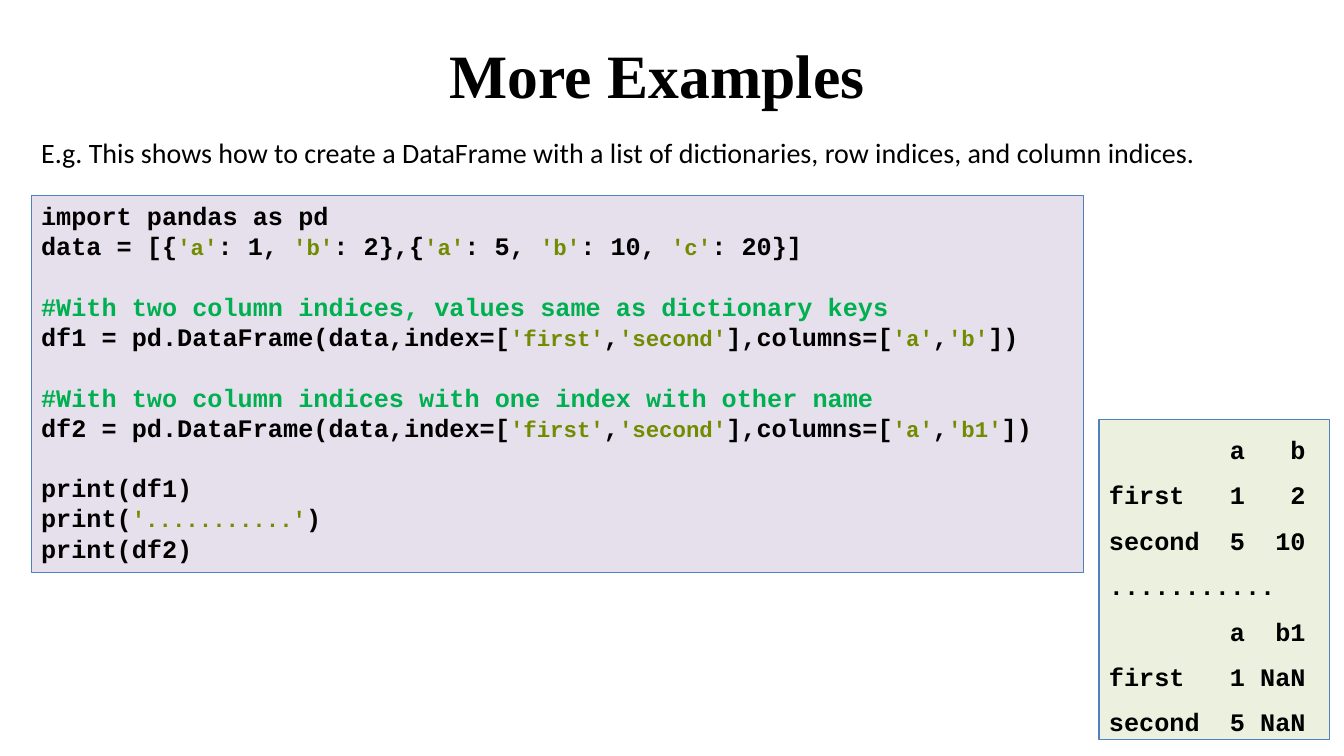
from dataclasses import dataclass

from pptx import Presentation
from pptx.dml.color import RGBColor
from pptx.enum.shapes import MSO_SHAPE as Shape
from pptx.enum.text import MSO_ANCHOR as Anchor, MSO_AUTO_SIZE as AutoSize, PP_ALIGN as Align
from pptx.util import Inches, Pt

COLORS = {
    "text": "000000",
    "string": "718C00",
    "comment": "00B050",
    "border": "4F81BD",
    "code_fill": "E6E0EC",
    "output_fill": "EBF1DE",
}
CODE_FONT = "Courier New"
CODE_SIZE, STRING_SIZE = 18, 16
BLOCK_GAP = 21.57  # one code line, in points

CODE_BLOCKS = [
    [
        "import pandas as pd",
        "data = [{'a': 1, 'b': 2},{'a': 5, 'b': 10, 'c': 20}]",
    ],
    [
        "#With two column indices, values same as dictionary keys",
        "df1 = pd.DataFrame(data,index=['first','second'],columns=['a','b'])",
    ],
    [
        "#With two column indices with one index with other name",
        "df2 = pd.DataFrame(data,index=['first','second'],columns=['a','b1'])",
    ],
    [
        "print(df1)",
        "print('...........')",
        "print(df2)",
    ],
]
OUTPUT_BLOCKS = [
    [
        "        a   b",
        "first   1   2",
        "second  5  10",
        "...........",
        "        a  b1",
        "first   1 NaN",
        "second  5 NaN",
    ]
]


@dataclass(frozen=True)
class Panel:
    box: tuple[float, float, float, float]
    fill: str
    blocks: list[list[str]]
    insets: tuple[float, float, float, float]
    line_spacing: float


PANELS = [
    Panel((0.31, 1.94, 10.44, 3.74), "code_fill", CODE_BLOCKS, (0.1, 0.05, 0.1, 0.05), 1.0),
    Panel((10.9, 4.16, 2.29, 3.18), "output_fill", OUTPUT_BLOCKS, (0.1, 0, 0, 0), 1.5),
]


def rgb(name: str) -> RGBColor:
    return RGBColor.from_string(COLORS[name])


def add_run(paragraph, text: str, font_name: str, size: float,
            color: str = "text", bold: bool = False) -> None:
    run = paragraph.add_run()
    run.text = text
    run.font.name = font_name
    run.font.size = Pt(size)
    run.font.bold = bold
    run.font.color.rgb = rgb(color)


def add_code_line(paragraph, line: str) -> None:
    """Write one line of code, colouring comments and quoted strings."""
    if line.startswith("#"):
        add_run(paragraph, line, CODE_FONT, CODE_SIZE, "comment", True)
        return
    for position, piece in enumerate(line.split("'")):
        if position % 2:
            add_run(paragraph, f"'{piece}'", CODE_FONT, STRING_SIZE, "string", True)
        elif piece:
            add_run(paragraph, piece, CODE_FONT, CODE_SIZE, "text", True)


def add_panel(slide, panel: Panel) -> None:
    rectangle = slide.shapes.add_shape(Shape.RECTANGLE, *map(Inches, panel.box))
    rectangle.shadow.inherit = False
    rectangle.fill.solid()
    rectangle.fill.fore_color.rgb = rgb(panel.fill)
    rectangle.line.color.rgb = rgb("border")
    rectangle.line.width = Pt(0.75)

    frame = rectangle.text_frame
    frame.word_wrap = True
    frame.auto_size = AutoSize.SHAPE_TO_FIT_TEXT
    frame.vertical_anchor = Anchor.TOP
    (frame.margin_left, frame.margin_top,
     frame.margin_right, frame.margin_bottom) = map(Inches, panel.insets)

    for block_number, block in enumerate(panel.blocks):
        for line_number, line in enumerate(block):
            is_first = block_number == line_number == 0
            paragraph = frame.paragraphs[0] if is_first else frame.add_paragraph()
            paragraph.alignment = Align.LEFT
            paragraph.line_spacing = panel.line_spacing
            if block_number and not line_number:
                paragraph.space_before = Pt(BLOCK_GAP)
            add_code_line(paragraph, line)


def add_heading(slide) -> None:
    heading = slide.shapes.title
    heading.left, heading.top, heading.width, heading.height = map(
        Inches, (0.77, 0.14, 11.5, 1.18))
    heading.text_frame.vertical_anchor = Anchor.MIDDLE
    paragraph = heading.text_frame.paragraphs[0]
    paragraph.alignment = Align.CENTER
    add_run(paragraph, "More Examples", "Times New Roman", 44, bold=True)


def add_introduction(slide) -> None:
    introduction = slide.shapes.add_textbox(*map(Inches, (0.31, 1.3, 12.42, 0.44)))
    frame = introduction.text_frame
    frame.word_wrap = True
    frame.auto_size = AutoSize.SHAPE_TO_FIT_TEXT
    add_run(
        frame.paragraphs[0],
        "E.g. This shows how to create a DataFrame with a list of dictionaries, "
        "row indices, and column indices.",
        "Calibri", 20,
    )


def main() -> None:
    presentation = Presentation()
    presentation.slide_width = Inches(13.33)
    presentation.slide_height = Inches(7.5)
    title_only = presentation.slide_layouts[5]
    slide = presentation.slides.add_slide(title_only)

    add_heading(slide)
    add_introduction(slide)
    for panel in PANELS:
        add_panel(slide, panel)

    presentation.save("out.pptx")


if __name__ == "__main__":
    main()
